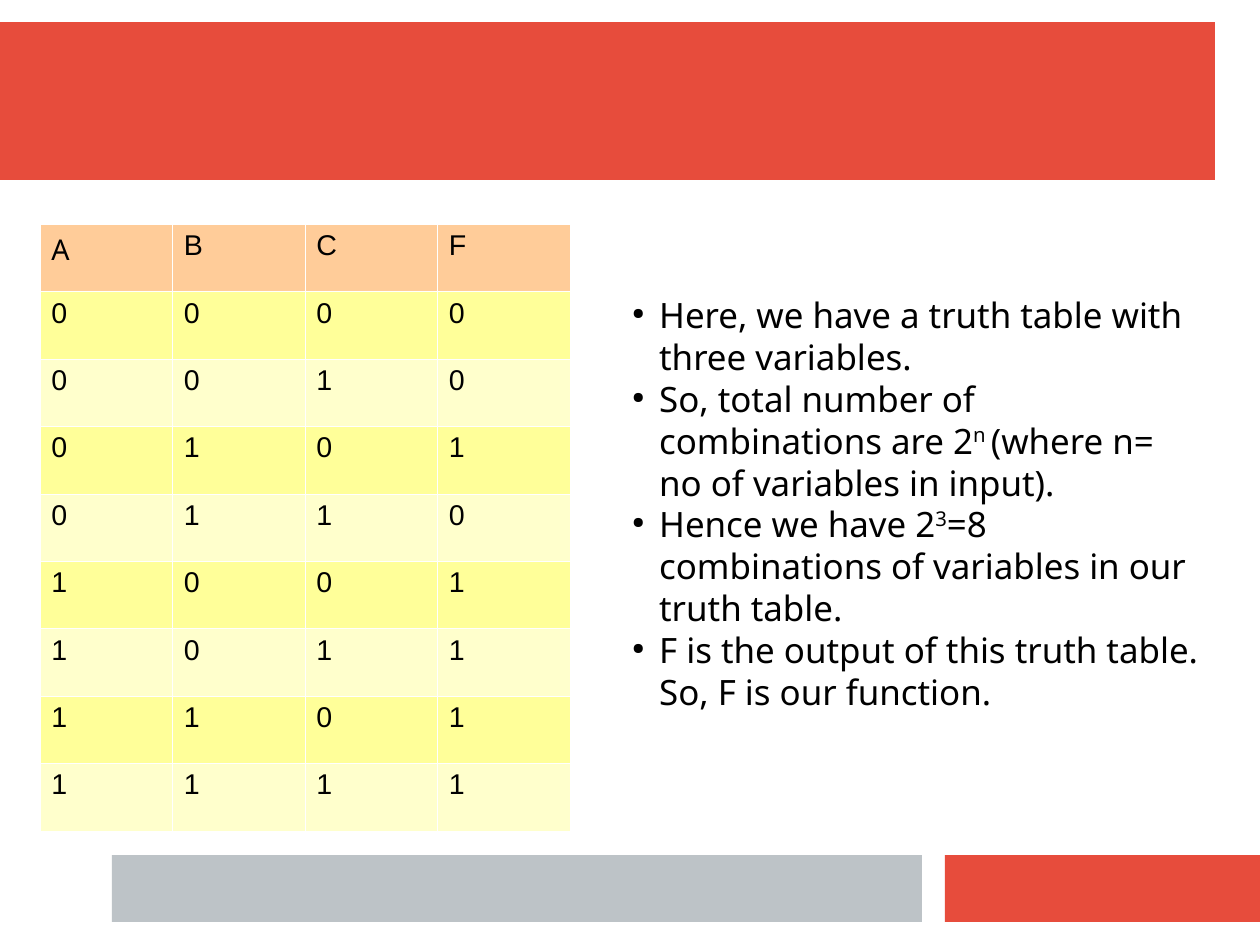
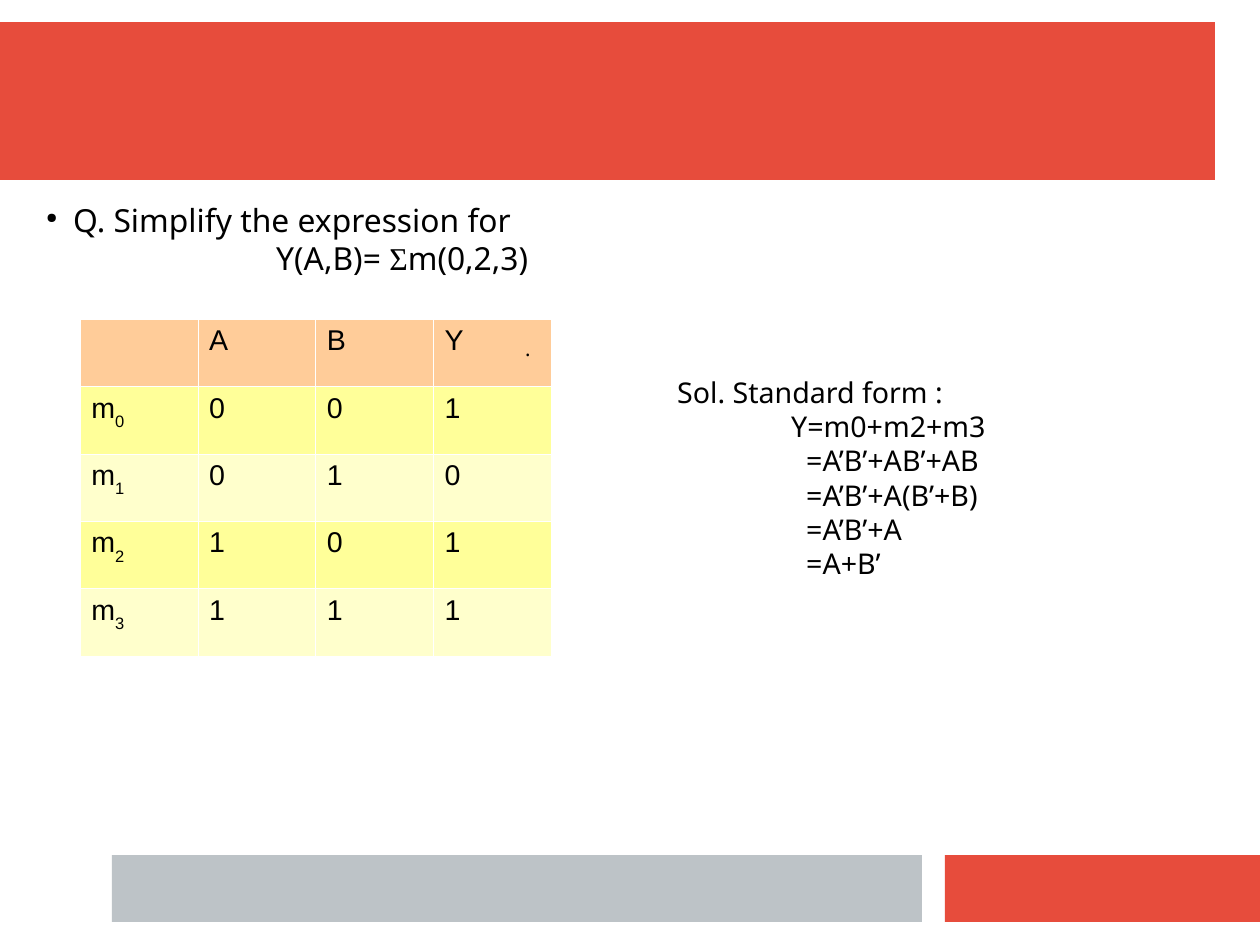
from lxml.etree import SubElement
from pptx import Presentation
from pptx.dml.color import RGBColor
from pptx.enum.shapes import MSO_SHAPE
from pptx.oxml import parse_xml
from pptx.oxml.ns import nsdecls, qn
from pptx.util import Pt

PIXEL = 8000  # EMU per pixel
RED, GREY, WHITE, BLACK = "E74C3C", "BDC3C7", "FFFFFF", "000000"
HEADER, DARK_ROW, LIGHT_ROW = "FFCC99", "FFFF99", "FFFFCC"
BODY_FONT, TABLE_FONT, SYMBOL_FONT = "Noto Sans", "Arial", "Times New Roman"
BANDS = [(0, 22, 1215, 158, RED), (945, 855, 315, 67, RED), (112, 855, 810, 67, GREY)]


def color(hex_string):
    return RGBColor.from_string(hex_string)


def write(paragraph, text, size, font, shift=0):
    """Write text; every second part between bars is raised or lowered by shift percent."""
    for number, part in enumerate(text.split("|")):
        if not part:
            continue
        run = paragraph.add_run()
        run.text = part
        run.font.size = Pt(size)
        run.font.name = font
        run.font.color.rgb = color(BLACK)
        if shift and number % 2:
            run.font._element.set("baseline", str(shift * 1000))


presentation = Presentation()
presentation.slide_width = 1260 * PIXEL
presentation.slide_height = 945 * PIXEL

# Content: tables as (left, top, width, height, rows)
# Texts as (left, top, width, height, size, shift, lines), lines as (indent, bullet, text)
truth_rows = ["A B C F", "0 0 0 0", "0 0 1 0", "0 1 0 1", "0 1 1 0",
              "1 0 0 1", "1 0 1 1", "1 1 0 1", "1 1 1 1"]
minterm_rows = [" A B Y", "m|0 0 0 1", "m|1 0 1 0", "m|2 1 0 1", "m|3 1 1 1"]
explanation = [
    (27, True, "Here, we have a truth table with three variables."),
    (27, True, "So, total number of combinations are 2|n |(where n= no of variables in input)."),
    (27, True, "Hence we have 2|3|=8 combinations of variables in our truth table."),
    (27, True, "F is the output of this truth table. So, F is our function."),
]
question = [(27, True, "Q. Simplify the expression for"), (230, False, "Y(A,B)= |Σ|m(0,2,3)")]
solution = [
    (0, False, "Sol. Standard form :"),
    (114, False, "Y=m0+m2+m3"),
    (129, False, "=A’B’+AB’+AB"),
    (129, False, "=A’B’+A(B’+B)"),
    (129, False, "=A’B’+A"),
    (129, False, "=A+B’"),
]
slides = [
    ((40, 224, 530, 607, truth_rows), [(621, 288, 594, 468, 22, 33, explanation)]),
    ((80, 319, 471, 337, minterm_rows), [
        (35, 195, 1179, 102, 20, 0, question),
        (514, 327, 29, 51, 22, 33, [(0, False, "|.")]),
        (666, 369, 540, 244, 18, 0, solution),
    ]),
]

for (left, top, width, height, rows), texts in slides:
    slide = presentation.slides.add_slide(presentation.slide_layouts[6])

    # Shared bands
    for *box, band_color in BANDS:
        band = slide.shapes.add_shape(MSO_SHAPE.RECTANGLE, *[n * PIXEL for n in box])
        band.shadow.inherit = False
        band.fill.solid()
        band.fill.fore_color.rgb = color(band_color)
        band.line.fill.background()

    # Table
    box = [n * PIXEL for n in (left, top, width, height)]
    table = slide.shapes.add_table(len(rows), 4, *box).table
    table.first_row = table.horz_banding = False
    for row_number, row in enumerate(rows):
        fill_color = DARK_ROW if row_number % 2 else LIGHT_ROW
        for column_number, value in enumerate(row.split(" ")):
            cell = table.cell(row_number, column_number)
            cell.fill.solid()
            cell.fill.fore_color.rgb = color(fill_color if row_number else HEADER)
            first_cell = row_number == column_number == 0
            write(cell.text_frame.paragraphs[0], value, 18,
                  BODY_FONT if first_cell else TABLE_FONT, -33)
            properties = cell._tc.get_or_add_tcPr()
            for position, side in enumerate(("lnL", "lnR", "lnT", "lnB")):
                properties.insert(position, parse_xml(
                    f'<a:{side} {nsdecls("a")} w="720"><a:solidFill>'
                    f'<a:srgbClr val="{WHITE}"/></a:solidFill></a:{side}>'))

    # Texts
    for *box, size, shift, lines in texts:
        text_frame = slide.shapes.add_textbox(*[n * PIXEL for n in box]).text_frame
        text_frame.word_wrap = True
        for number, (indent, bullet, text) in enumerate(lines):
            paragraph = text_frame.add_paragraph() if number else text_frame.paragraphs[0]
            write(paragraph, text, size, BODY_FONT, shift)
            for run in paragraph.runs:
                if run.text == "Σ":
                    run.font.name = SYMBOL_FONT
            properties = paragraph._p.get_or_add_pPr()
            properties.set("marL", str(indent * PIXEL))
            if bullet:
                properties.set("indent", str(-indent * PIXEL))
                bullet_color = SubElement(properties, qn("a:buClr"))
                SubElement(bullet_color, qn("a:srgbClr"), val=BLACK)
                SubElement(properties, qn("a:buSzPct"), val="45000")
                SubElement(properties, qn("a:buChar"), char="●")

presentation.save("out.pptx")
